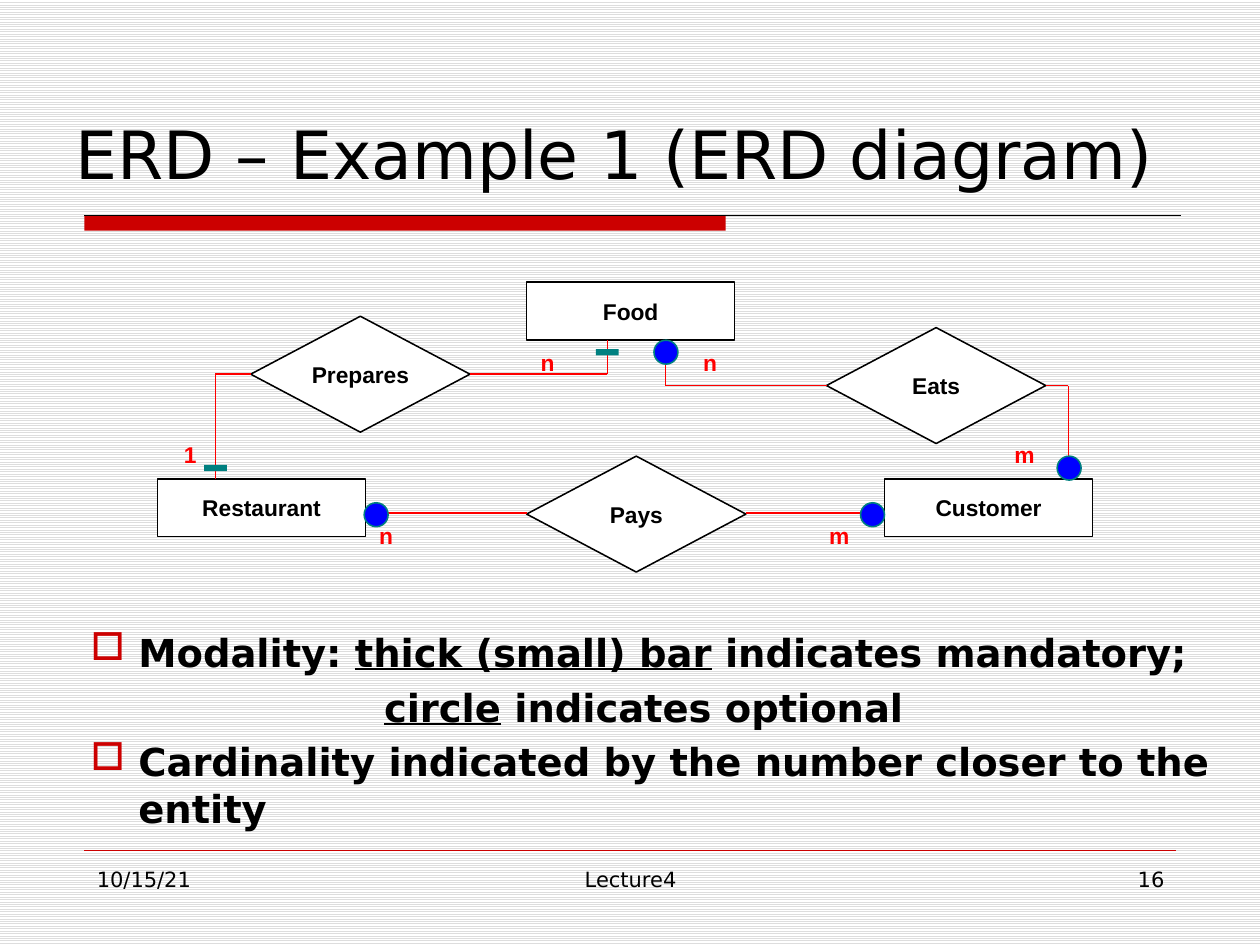
import itertools
from dataclasses import dataclass

import pptx
import pptx.util
import pptx.dml.color
import pptx.enum.dml
import pptx.enum.shapes
import pptx.enum.text
import pptx.oxml
import pptx.oxml.ns

Inches, Pt = pptx.util.Inches, pptx.util.Pt
RGB = pptx.dml.color.RGBColor.from_string
KIND = pptx.enum.shapes.MSO_SHAPE
ALIGN = pptx.enum.text.PP_ALIGN
ANCHOR = pptx.enum.text.MSO_ANCHOR


@dataclass(frozen=True)
class Theme:
    sans: str = "DejaVu Sans"
    label: str = "Arial"
    black: str = "000000"
    white: str = "FFFFFF"
    stripe: str = "DDDDDD"
    accent: str = "CC0000"
    red: str = "FF0000"
    teal: str = "008080"
    blue: str = "0000FF"
    title: float = 38
    body: float = 22
    foot: float = 12
    small: float = 13
    thin: float = 0.88


T = Theme()


def style(para, size, face=T.sans, color=T.black, bold=False, align=ALIGN.LEFT):
    para.alignment = align
    font = para.font
    font.size, font.name, font.bold = Pt(size), face, bold
    font.color.rgb = RGB(color)


def add_text(slide, box, text, size, anchor=ANCHOR.TOP, inset=True, **look):
    frame = slide.shapes.add_textbox(*map(Inches, box)).text_frame
    frame.word_wrap = inset
    frame.vertical_anchor = anchor
    if not inset:
        frame.margin_left = frame.margin_right = 0
        frame.margin_top = frame.margin_bottom = 0
    para = frame.paragraphs[0]
    para.text = text
    style(para, size, **look)
    return frame


def add_form(slide, kind, box, fill, line=None):
    form = slide.shapes.add_shape(kind, *map(Inches, box))
    form.shadow.inherit = False
    form.fill.solid()
    form.fill.fore_color.rgb = RGB(fill)
    if line:
        form.line.color.rgb = RGB(line)
        form.line.width = Pt(T.thin)
    else:
        form.line.fill.background()
    return form


def add_line(slide, start, end, color, width):
    line = slide.shapes.add_connector(
        pptx.enum.shapes.MSO_CONNECTOR.STRAIGHT, *map(Inches, start + end))
    line.line.color.rgb = RGB(color)
    line.line.width = Pt(width)
    props = line._element.spPr
    props.append(pptx.oxml.parse_xml(
        "<a:effectLst %s/>" % pptx.oxml.ns.nsdecls("a")))


def add_bullet(para):
    props = para._p.get_or_add_pPr()
    names = pptx.oxml.ns.nsdecls("a")
    for xml in ('<a:buClr %s><a:srgbClr val="' + T.accent + '"/></a:buClr>',
                '<a:buChar %s char="□"/>'):
        props.append(pptx.oxml.parse_xml(xml % names))


def add_head(slide, box):
    left, top, width, height = box
    add_text(slide, (left, top, width, height), "ERD – Example 1 (ERD diagram)",
             T.title, anchor=ANCHOR.BOTTOM)
    x, y = left + 0.17, top + height + 0.13
    add_form(slide, KIND.RECTANGLE, (x, y, 5.09, 0.12), T.accent)
    add_line(slide, (x, y), (x + 8.7, y), T.black, 0.75)


def add_diagram(slide, box):
    left, top = box[:2]

    def at(x, y):
        return left + x, top + y

    tall = 0.46
    nodes = [
        ("Restaurant", KIND.RECTANGLE, 0, 1.56, 1.65, tall),
        ("Food", KIND.RECTANGLE, 2.93, 0, 1.65, tall),
        ("Customer", KIND.RECTANGLE, 5.77, 1.56, 1.65, tall),
        ("Eats", KIND.DIAMOND, 5.31, 0.36, 1.74, 2 * tall),
        ("Prepares", KIND.DIAMOND, 0.74, 0.27, 1.74, 2 * tall),
        ("Pays", KIND.DIAMOND, 2.93, 1.38, 1.74, 2 * tall),
    ]
    for name, kind, x, y, wide, high in nodes:
        form = add_form(slide, kind, (*at(x, y), wide, high), T.white, T.black)
        frame = form.text_frame
        frame.word_wrap = False
        frame.vertical_anchor = ANCHOR.MIDDLE
        frame.margin_left = frame.margin_right = 0
        para = frame.paragraphs[0]
        para.text = name
        style(para, T.small, T.label, bold=True, align=ALIGN.CENTER)

    links = [
        [(2.93, 1.83), (1.65, 1.83)],
        [(4.67, 1.83), (5.77, 1.83)],
        [(0.74, 0.73), (0.46, 0.73), (0.46, 1.56)],
        [(2.48, 0.73), (3.57, 0.73), (3.57, tall)],
        [(5.31, 0.82), (4.03, 0.82), (4.03, tall)],
        [(7.05, 0.82), (7.23, 0.82), (7.23, 1.56)],
    ]
    for link in links:
        for start, end in itertools.pairwise(link):
            add_line(slide, at(*start), at(*end), T.red, T.thin)

    for x, y in [(0.37, 1.45), (3.48, 0.53)]:
        add_form(slide, KIND.RECTANGLE, (*at(x, y), 0.18, 0.05), T.teal)
    for x, y in [(5.58, 1.75), (3.94, 0.46), (7.14, 1.38), (1.64, 1.75)]:
        add_form(slide, KIND.OVAL, (*at(x, y), 0.19, 0.19), T.blue, T.teal)

    tags = [("1", 0.21, 1.26), ("n", 4.33, 0.53), ("n", 3.04, 0.53),
            ("m", 6.8, 1.26), ("m", 5.33, 1.9), ("n", 1.76, 1.9)]
    for tag, x, y in tags:
        add_text(slide, (*at(x, y), 0.16, 0.22), tag, T.small, inset=False,
                 face=T.label, color=T.red, bold=True)


def add_notes(slide, box):
    """Bulleted key to the diagram; each run is (words, underlined)."""
    rows = [
        (True, [("Modality: ", False), ("thick (small) bar", True),
                (" indicates mandatory;", False)]),
        (False, [("circle", True), (" indicates optional", False)]),
        (True, [("Cardinality indicated by the number closer to the entity", False)]),
    ]
    frame = slide.shapes.add_textbox(*map(Inches, box)).text_frame
    frame.word_wrap = True
    for i, (bullet, runs) in enumerate(rows):
        para = frame.add_paragraph() if i else frame.paragraphs[0]
        style(para, T.body, bold=True)
        para.space_before = Pt(5)
        props = para._p.get_or_add_pPr()
        props.set("marL", str(Inches(0.38 if bullet else 2.33)))
        props.set("indent", str(Inches(-0.38 if bullet else 0)))
        if bullet:
            add_bullet(para)
        for words, under in runs:
            run = para.add_run()
            run.text = words
            if under:
                run.font.underline = True


def add_foot(slide, box):
    left, top, width, height = box
    add_line(slide, (left, top), (left + width, top), T.accent, 0.25)
    parts = [("10/15/21", 0, 2.17, ALIGN.LEFT),
             ("Lecture4", 2.75, 3.17, ALIGN.CENTER),
             ("16", 6.5, 2.17, ALIGN.RIGHT)]
    for text, x, wide, align in parts:
        add_text(slide, (left + x, top + 0.08, wide, height - 0.08), text,
                 T.foot, align=align)


def main():
    deck = pptx.Presentation()
    deck.slide_width, deck.slide_height = Inches(10), Inches(7.5)
    slide = deck.slides.add_slide(deck.slide_layouts[6])
    fill = slide.background.fill
    fill.patterned()
    fill.pattern = pptx.enum.dml.MSO_PATTERN.LIGHT_HORIZONTAL
    fill.fore_color.rgb, fill.back_color.rgb = RGB(T.stripe), RGB(T.white)
    add_head(slide, (0.5, 0.33, 9.25, 1.25))
    add_notes(slide, (0.62, 4.94, 9.21, 1.64))
    add_diagram(slide, (1.25, 2.24, 7.43, 2.29))
    add_foot(slide, (0.67, 6.75, 8.66, 0.6))
    deck.save("out.pptx")


if __name__ == "__main__":
    main()
